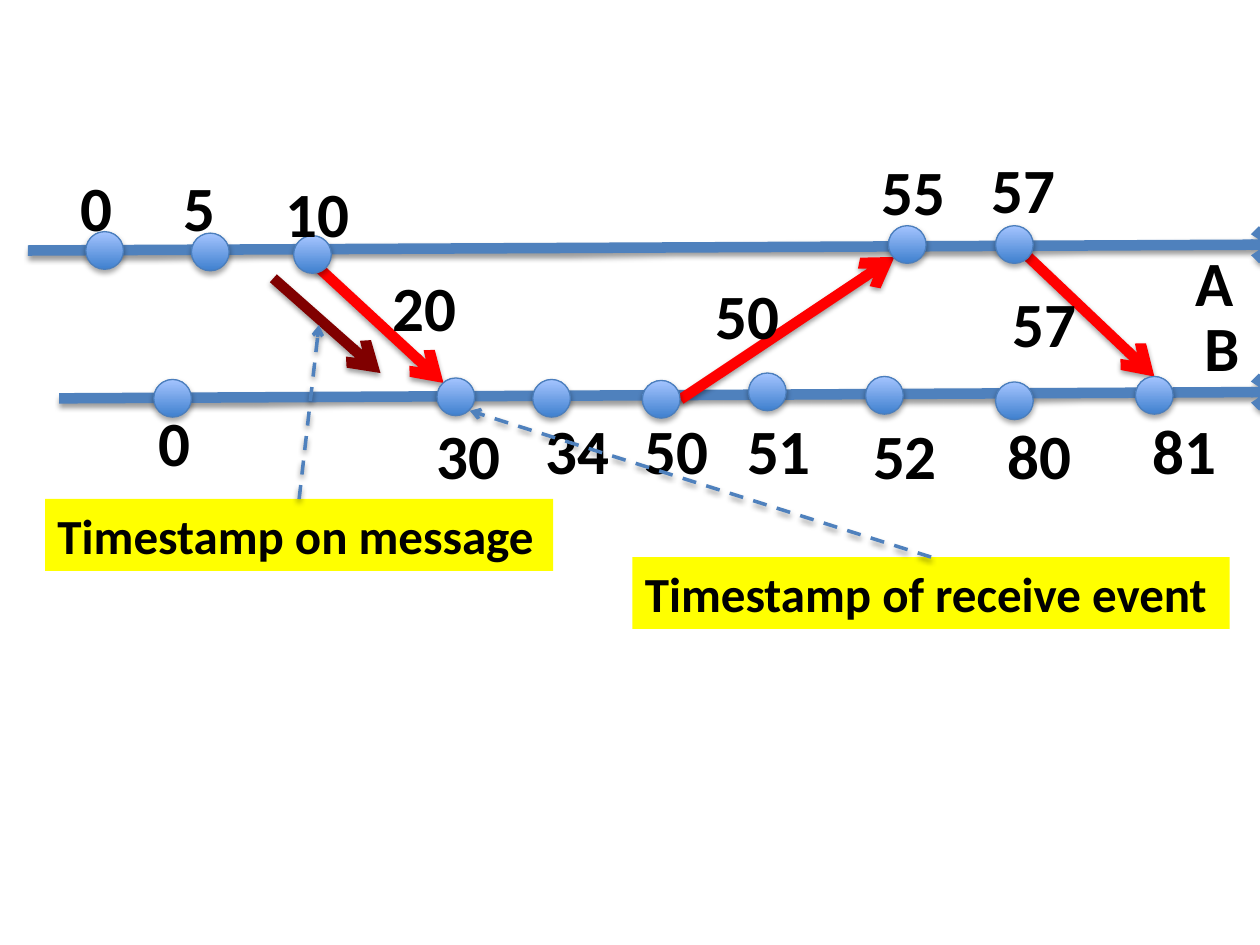
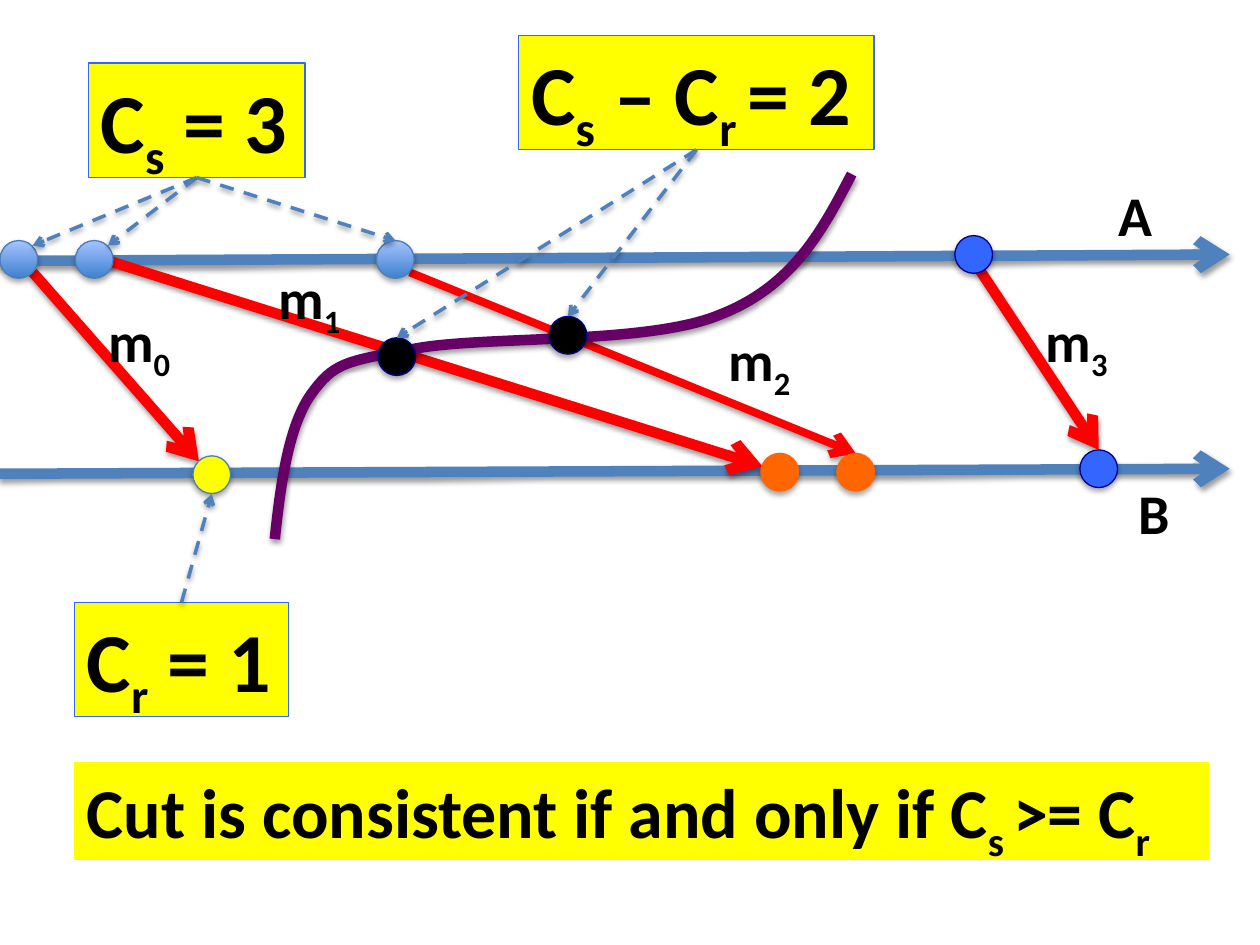
from lxml.etree import SubElement
from pptx import Presentation
from pptx.dml.color import RGBColor
from pptx.enum.dml import MSO_LINE
from pptx.enum.shapes import MSO_CONNECTOR, MSO_SHAPE
from pptx.enum.text import MSO_AUTO_SIZE
from pptx.oxml.ns import qn
from pptx.util import Cm, Pt

FONT = "Calibri"
BLACK = "000000"
YELLOW = "FFFF00"
STEEL = "4F81BD"
RED = "FF0000"
MAROON = "800000"
PURPLE = "660066"
BLUE = "3366FF"
NAVY = "000090"
ORANGE = "FF6600"
DOT_EDGE = "4B7EBC"
DOT_DARK = "3F80CE"
DOT_LIGHT = "A4C4FF"
DOT = 0.76
TOP, BOTTOM = 0, 2


def rgb(value):
    return RGBColor.from_string(value)


class Deck:
    def __init__(self):
        self.prs = Presentation()
        self.prs.slide_width = Cm(25.4)
        self.prs.slide_height = Cm(19.05)

    def new_slide(self):
        self.s = self.prs.slides.add_slide(self.prs.slide_layouts[6])

    def shadow(self, sp, dist=20000, alpha=38000):
        effects = SubElement(sp._element.spPr, qn("a:effectLst"))
        outer = SubElement(effects, qn("a:outerShdw"), blurRad="40000",
                           dist=str(dist), dir="5400000", rotWithShape="0")
        color = SubElement(outer, qn("a:srgbClr"), val=BLACK)
        SubElement(color, qn("a:alpha"), val=str(alpha))

    def outline(self, sp, color, width):
        sp.line.color.rgb = rgb(color)
        sp.line.width = Pt(width)

    def arrow(self, start, end, color=STEEL, width=6, dashed=False):
        cx = self.s.shapes.add_connector(
            MSO_CONNECTOR.STRAIGHT, *(Cm(v) for v in (*start, *end)))
        self.outline(cx, color, width)
        if dashed:
            cx.line.dash_style = MSO_LINE.DASH
        SubElement(cx.line._get_or_add_ln(), qn("a:tailEnd"), type="arrow")
        self.shadow(cx)
        return cx

    def pointer(self, box, side, end=(0, 0), dot=None):
        cx = self.arrow((0, 0), end, width=2, dashed=True)
        cx.begin_connect(box, side)
        if dot is not None:
            cx.end_connect(dot, TOP)

    def dot(self, x, y, fill=None, edge=DOT_EDGE):
        sp = self.s.shapes.add_shape(
            MSO_SHAPE.OVAL, Cm(x), Cm(y), Cm(DOT), Cm(DOT))
        if fill:
            sp.fill.solid()
            sp.fill.fore_color.rgb = rgb(fill)
        else:
            sp.fill.gradient()
            sp.fill.gradient_angle = 90
            for stop, color in zip(sp.fill.gradient_stops, (DOT_DARK, DOT_LIGHT)):
                stop.color.rgb = rgb(color)
        self.outline(sp, edge, 0.75)
        self.shadow(sp, 23000, 35000)
        return sp

    def text(self, x, y, w, h, size, *runs, wrap=False):
        sp = self.s.shapes.add_textbox(Cm(x), Cm(y), Cm(w), Cm(h))
        tf = sp.text_frame
        tf.word_wrap = wrap
        tf.auto_size = MSO_AUTO_SIZE.SHAPE_TO_FIT_TEXT
        p = tf.paragraphs[0]
        for i, run in enumerate(runs):
            r = p.add_run()
            r.text = run
            r.font.name = FONT
            r.font.size = Pt(size)
            r.font.bold = True
            r.font.color.rgb = rgb(BLACK)
            if i % 2:
                r._r.get_or_add_rPr().set("baseline", "-25000")
        return sp

    def box(self, x, y, w, h, size, *runs, edge=None, wrap=False):
        sp = self.text(x, y, w, h, size, *runs, wrap=wrap)
        sp.fill.solid()
        sp.fill.fore_color.rgb = rgb(YELLOW)
        if edge:
            self.outline(sp, edge, 0.75)
        return sp

    def curve(self, points, color, width):
        start, *rest = [(Cm(x), Cm(y)) for x, y in points]
        builder = self.s.shapes.build_freeform(*start)
        builder.add_line_segments(rest, close=False)
        sp = builder.convert_to_shape()
        segments = sp._element.findall(".//" + qn("a:lnTo"))
        outline = segments[0].getparent()
        for i in range(0, len(segments), 3):
            bezier = SubElement(outline, qn("a:cubicBezTo"))
            for segment in segments[i:i + 3]:
                bezier.append(segment[0])
                outline.remove(segment)
        sp.fill.background()
        self.outline(sp, color, width)
        self.shadow(sp)


def timestamps(d):
    d.new_slide()
    d.arrow((1.19, 8.03), (25.96, 7.9))
    d.arrow((0.56, 5.05), (25.96, 4.93))
    for start, end in (((6.05, 5.05), (8.94, 7.72)),
                       ((13.72, 8.05), (18.03, 5.18)),
                       ((20.73, 5.18), (23.27, 7.59))):
        d.arrow(start, end, RED)

    events = [
        ("0", (1.73, 4.67), (1.37, 3.28)),
        ("5", (3.86, 4.7), (3.45, 3.28)),
        ("10", (5.92, 4.75), (5.51, 3.4)),
        ("55", (17.91, 4.55), (17.53, 2.95)),
        ("57", (20.07, 4.55), (19.74, 2.9)),
        ("0", (3.1, 7.65), (2.95, 8)),
        ("30", (8.81, 7.62), (8.56, 8.28)),
        ("34", (10.74, 7.65), (10.74, 8.18)),
        ("50", (12.95, 7.67), (12.75, 8.18)),
        ("51", (15.09, 7.52), (14.81, 8.18)),
        ("52", (17.45, 7.59), (17.35, 8.28)),
        ("80", (20.07, 7.7), (20.07, 8.28)),
        ("81", (22.89, 7.59), (22.99, 8.18)),
    ]
    for _, place, _ in events:
        d.dot(*place)
    labels = [(time, place) for time, _, place in events]
    labels += [("20", (7.67, 5.28)), ("50", (14.17, 5.44)), ("57", (20.17, 5.61))]
    for time, place in labels:
        d.text(*place, 1.17 if len(time) == 1 else 1.8, 1.8, 36, time)
    d.text(23.85, 4.78, 1.3, 1.8, 36, "A")
    d.text(24.03, 6.1, 1.22, 1.8, 36, "B")

    d.arrow((5.51, 5.61), (7.67, 7.52), MAROON)
    message = d.box(0.91, 10.06, 10.24, 1.45, 28, "Timestamp on message")
    d.pointer(message, TOP, (6.43, 6.55))
    receive = d.box(12.75, 11.23, 12.04, 1.45, 28, "Timestamp of receive event")
    d.pointer(receive, TOP, (9.47, 8.28))


def consistent_cut(d):
    d.new_slide()
    d.arrow((0, 5.26), (24.79, 5.13))
    d.arrow((0, 9.55), (24.79, 9.45))
    messages = [
        ("0", (0.66, 5.49), (4.01, 9.3), 6, (1.93, 6.05)),
        ("1", (1.78, 5.13), (15.37, 9.4), 6, (5.36, 5.18)),
        ("2", (8.26, 5.49), (17.25, 9.14), 4.5, (14.43, 6.43)),
        ("3", (19.63, 5.26), (22.15, 9.07), 6, (20.83, 6.05)),
    ]
    for _, start, end, width, _ in messages:
        d.arrow(start, end, RED, width)
    d.curve([(5.54, 10.87),
             (5.66, 9.73), (5.82, 8.59), (6.27, 7.95),
             (6.73, 7.32), (6.93, 7.29), (8.31, 7.04),
             (9.68, 6.76), (13.03, 6.96), (14.5, 6.35),
             (16, 5.77), (16.59, 4.62), (17.17, 3.51)], PURPLE, 6)
    for number, _, _, _, place in messages:
        d.text(*place, 1.83, 1.63, 32, "m", number)
    d.text(22.3, 3.51, 1.19, 1.63, 32, "A")
    d.text(22.71, 9.53, 1.14, 1.63, 32, "B")

    sent = [d.dot(x, 4.85) for x in (0, 1.52, 7.59)]
    d.dot(3.89, 9.19, YELLOW)
    for x in (15.34, 16.87):
        d.dot(x, 9.14, ORANGE, ORANGE)
    for place in ((19.25, 4.75), (21.77, 9.07)):
        d.dot(*place, BLUE, NAVY)
    crossing = [d.dot(*place, BLACK, NAVY) for place in ((7.62, 6.81), (11.07, 6.38))]

    sends = d.box(1.78, 1.27, 4.37, 2.31, 48, "C", "s", " = 3", edge=BLUE)
    for x in (0.66, 2.18):
        d.pointer(sends, BOTTOM, (x, 4.95))
    d.pointer(sends, BOTTOM, dot=sent[2])
    receives = d.box(1.5, 12.14, 4.32, 2.31, 48, "C", "r", " = 1", edge=BLUE)
    d.pointer(receives, TOP, (4.27, 9.96))
    difference = d.box(10.46, 0.71, 7.16, 2.31, 48,
                       "C", "s", " – C", "r ", "= 2", edge=BLUE)
    for dot in crossing:
        d.pointer(difference, BOTTOM, dot=dot)
    d.box(1.5, 15.37, 22.86, 1.96, 40, "Cut is consistent if and only if C",
          "s ", ">= C", "r", edge=YELLOW, wrap=True)


def main():
    d = Deck()
    timestamps(d)
    consistent_cut(d)
    d.prs.save("out.pptx")


if __name__ == "__main__":
    main()
